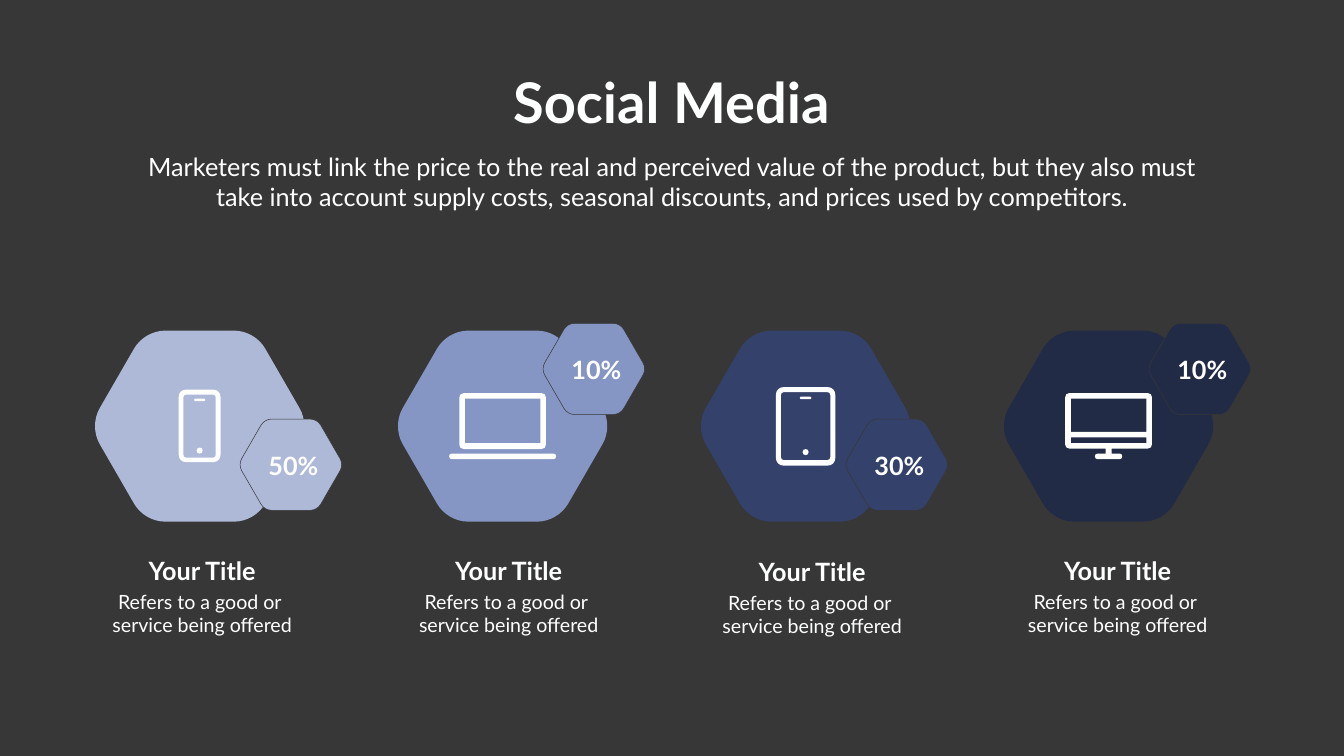
from math import dist, sqrt
from typing import Callable, NamedTuple

from lxml import etree
from pptx import Presentation
from pptx.dml.color import RGBColor
from pptx.enum.text import MSO_AUTO_SIZE, PP_ALIGN
from pptx.oxml.ns import qn
from pptx.util import Inches, Pt

CENTER = PP_ALIGN.CENTER
GROW = MSO_AUTO_SIZE.SHAPE_TO_FIT_TEXT
FONT = "Lato"
DARK, WHITE, INK = "373737", "FFFFFF", "FEFFFF"
FIRST, STEP, MID = 3.96, 6.01, 8.455
PULL = 0.6


class Node(NamedTuple):
    x: float
    y: float
    trim: float = 0
    bend: bool = False


class Card(NamedTuple):
    hue: str
    share: str
    badge: float
    text: float
    drop: float
    icon: Callable[[float], None]


Ring = list[Node]


def color(code: str) -> RGBColor:
    return RGBColor.from_string(code)


def toward(a: Node, b: Node, size: float, bend: bool = False) -> Node:
    part = size / dist(a[:2], b[:2])
    return Node(a.x + (b.x - a.x) * part, a.y + (b.y - a.y) * part, bend=bend)


def corner(prior: Node, node: Node, after: Node) -> Ring:
    if not node.trim:
        return [node]
    hold = node.trim * (1 - PULL)
    return [toward(node, prior, node.trim), toward(node, prior, hold, True),
            toward(node, after, hold), toward(node, after, node.trim)]


def smooth(ring: Ring) -> Ring:
    nodes = []
    for i, node in enumerate(ring):
        nodes += corner(ring[i - 1], node, ring[(i + 1) % len(ring)])
    return nodes


def spots(nodes: Ring) -> list[tuple[int, int]]:
    return [(Inches(n.x), Inches(n.y)) for n in nodes]


def curve(trace: etree._Element, nodes: Ring) -> None:
    parts = [part for part in trace if part.tag != qn("a:close")]
    for i, node in enumerate(nodes):
        if node.bend:
            arc = etree.Element(qn("a:cubicBezTo"))
            parts[i].addprevious(arc)
            for part in parts[i:i + 3]:
                arc.append(part[0])
                trace.remove(part)


def box(x: float, top: float, wide: float, high: float, trim: float = 0) -> Ring:
    left, right, base = x - wide / 2, x + wide / 2, top + high
    return [Node(left, top, trim), Node(right, top, trim),
            Node(right, base, trim), Node(left, base, trim)]


def hexagon(x: float, y: float, high: float, trim: float) -> Ring:
    side, half = high / sqrt(3), high / 2
    tips = ((-side, 0), (-side / 2, -half), (side / 2, -half),
            (side, 0), (side / 2, half), (-side / 2, half))
    return [Node(x + dx, y + dy, trim) for dx, dy in tips]


def draw(rings: list[Ring], fill: str, edge: str = "") -> None:
    loops = [smooth(ring) for ring in rings]
    start, *rest = spots(loops[0])
    pen = slide.shapes.build_freeform(*start, scale=1.0)
    pen.add_line_segments(rest, close=True)
    for loop in loops[1:]:
        start, *rest = spots(loop)
        pen.move_to(*start)
        pen.add_line_segments(rest, close=True)
    shape = pen.convert_to_shape()
    curve(shape._element.xpath(".//a:path")[0], sum(loops, []))
    shape.shadow.inherit = False
    shape.fill.solid()
    shape.fill.fore_color.rgb = color(fill)
    if edge:
        shape.line.color.rgb = color(edge)
        shape.line.width = Pt(0.75)
    else:
        shape.line.fill.background()


def write(lines: list[str], x: float, top: float, wide: float, high: float,
          size: float, bold: bool = False, hue: str = INK, wrap: bool = True) -> None:
    frame = slide.shapes.add_textbox(
        Inches(x - wide / 2), Inches(top), Inches(wide), Inches(high)).text_frame
    frame.word_wrap = wrap
    frame.auto_size = GROW
    for i, line in enumerate(lines):
        para = frame.add_paragraph() if i else frame.paragraphs[0]
        para.alignment = CENTER
        run = para.add_run()
        run.text = line
        run.font.name = FONT
        run.font.size = Pt(size)
        run.font.bold = bold
        run.font.color.rgb = color(hue)


def phone(x: float) -> None:
    draw([box(x, 7.73, 0.83, 1.44, 0.15), box(x, 7.83, 0.64, 1.25, 0.05)], WHITE)
    draw([box(x, 8.88, 0.12, 0.12, 0.06)], WHITE)
    draw([box(x, 7.91, 0.22, 0.05, 0.02)], WHITE)


def laptop(x: float) -> None:
    draw([box(x, 7.8, 1.72, 1.11, 0.09), box(x, 7.91, 1.5, 0.88)], WHITE)
    draw([box(x, 9, 2.12, 0.11, 0.05)], WHITE)


def tablet(x: float) -> None:
    draw([box(x, 7.68, 1.18, 1.56, 0.16), box(x, 7.78, 0.98, 1.35, 0.06)], WHITE)
    draw([box(x, 8.91, 0.12, 0.12, 0.06)], WHITE)
    draw([box(x, 7.87, 0.23, 0.05, 0.02)], WHITE)


def screen(x: float) -> None:
    half = [(0.86, 7.8, 0.08), (0.86, 8.9, 0.08), (0.06, 8.9, 0),
            (0.06, 9, 0), (0.27, 9, 0.05), (0.27, 9.11, 0.05)]
    rim = [Node(x + dx, y, trim) for dx, y, trim in half]
    rim += [Node(x - dx, y, trim) for dx, y, trim in reversed(half)]
    draw([rim, box(x, 7.91, 1.5, 0.66), box(x, 8.68, 1.5, 0.11)], WHITE)


def place(card: Card, x: float) -> None:
    draw([hexagon(x, MID, 3.79, 0.41)], card.hue)
    card.icon(x)
    draw([hexagon(x + 1.81, card.badge, 1.81, 0.14)], card.hue, DARK)
    write([card.share], x + 1.86, card.badge - 0.34, 1.5, 0.71, 36, True, WHITE)
    write(["Your Title"], card.text, 10.97 + card.drop, 2.61, 0.71, 36, True)
    write(["Refers to a good or ", "service being offered"],
          card.text, 11.65 + card.drop, 3.97, 1.04, 28)


LOW, HIGH = 9.22, 7.32
CARDS = [
    Card("AEB9D8", "50%", LOW, 4.01, 0, phone),
    Card("8696C4", "10%", HIGH, 10.09, 0, laptop),
    Card("34416A", "30%", LOW, 16.11, 0.02, tablet),
    Card("222B46", "10%", HIGH, 22.17, 0, screen),
]

deck = Presentation()
deck.slide_width, deck.slide_height = Inches(26.66), Inches(15)
slide = deck.slides.add_slide(deck.slide_layouts[6])
slide.background.fill.solid()
slide.background.fill.fore_color.rgb = color(DARK)

write(["Social Media"], 13.32, 1.3, 6.61, 1.45, 80, True, wrap=False)
write(["Marketers must link the price to the real and perceived value of the product, "
       "but they also must take into account supply costs, seasonal discounts, "
       "and prices used by competitors."], 13.33, 2.95, 21.3, 1.31, 36)
for i, card in enumerate(CARDS):
    place(card, FIRST + i * STEP)

deck.save("out.pptx")
